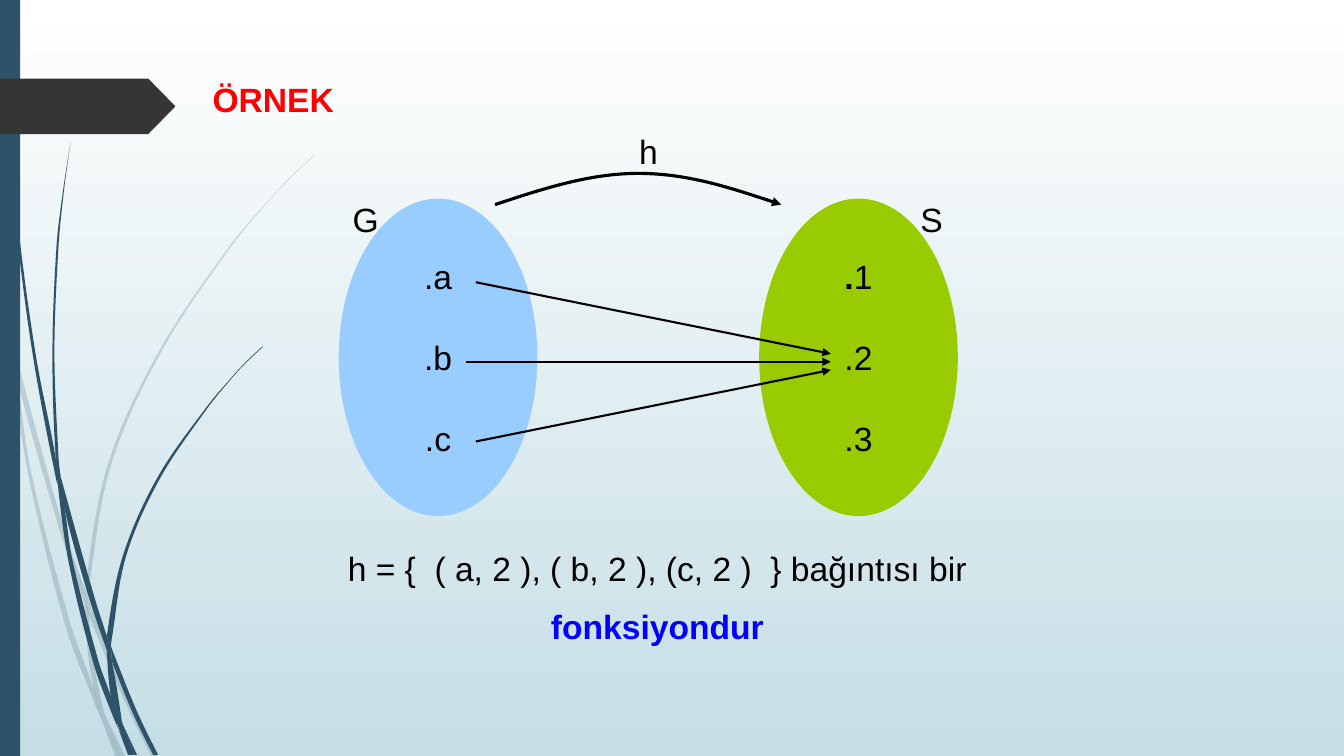
from math import dist
from pptx import Presentation
from pptx.dml.color import RGBColor
from pptx.enum.shapes import MSO_CONNECTOR as CONN, MSO_SHAPE as SHAPE
from pptx.enum.text import MSO_ANCHOR as ANCHOR, MSO_AUTO_SIZE as SIZE, PP_ALIGN as ALIGN
from pptx.oxml.ns import qn
from pptx.util import Inches, Pt
from lxml.etree import SubElement

W, H = 13.33, 7.5
NAVY, BLACK = "2E5369", "000000"

# Each blade piece has two edges: one out, one back
PALE_BLADES = [
    ([(.11, 3.5), (.09, 3.22), (0, 2.82)], [(0, 2.99), (.1, 3.44), (.11, 3.5)]),
    ([(.14, 3.45), (.17, 3.76), (.58, 5.22), (.84, 5.99)],
     [(.85, 5.86), (.62, 5.2), (.14, 3.45)]),
    ([(.88, 6.1), (1.23, 6.94), (1.5, 7.5)],
     [(1.55, 7.5), (1.27, 6.92), (.92, 6.07), (.88, 5.96)]),
    ([(1.05, 7.11), (1.19, 7.5)], [(1.24, 7.5), (1.05, 7.11)]),
    ([(.11, 3.5), (.28, 4.7), (.65, 6.21), (.92, 6.93), (1.01, 7.14)],
     [(.99, 7.07), (.93, 6.83), (.7, 6.19), (.31, 4.69), (.17, 3.76), (.11, 3.5)]),
    ([(.84, 5.99), (.87, 6.46), (.93, 6.83), (.96, 6.92), (1.05, 7.11)],
     [(1.03, 7.06), (.91, 6.46), (.88, 6.08), (.84, 5.99)]),
    ([(.88, 5.96), (.88, 5.84), (1.1, 4.62), (1.6, 3.49), (2.29, 2.45),
      (2.68, 1.98), (2.9, 1.75), (3.12, 1.54)],
     [(3.12, 1.53), (2.89, 1.75), (2.68, 1.97), (2.28, 2.44), (1.58, 3.48),
      (1.07, 4.61), (.85, 5.84)]),
    ([(1.01, 7.14), (1.14, 7.5)], [(1.19, 7.5), (1.01, 7.14)]),
    ([(.84, 5.99), (.88, 6.1)], [(.88, 5.96), (.85, 5.86)]),
    ([(.93, 6.83), (.99, 7.07), (1.01, 7.14), (1.19, 7.5)],
     [(1.05, 7.11), (.96, 6.92), (.93, 6.83)]),
]
DARK_BLADES = [
    ([(.03, 0), (.04, .48), (.07, 1.1), (.17, 2.33), (.33, 3.55), (.56, 4.77)],
     [(.57, 4.81), (.55, 4.53), (.36, 3.55), (.19, 2.32), (.08, 1.09), (.05, .48), (.04, 0)]),
    ([(.6, 4.72), (.64, 5.05), (.88, 5.92), (1.06, 6.45)],
     [(1.06, 6.31), (.93, 5.9), (.6, 4.72)]),
    ([(1.11, 6.56), (1.32, 7.08), (1.52, 7.49)],
     [(1.57, 7.49), (1.36, 7.06), (1.13, 6.49), (1.1, 6.41)]),
    ([(.57, 4.77), (.68, 5.57), (.93, 6.59), (1.11, 7.08), (1.17, 7.22)],
     [(1.16, 7.17), (1.1, 6.91), (.98, 6.57), (.72, 5.56), (.64, 5.05), (.57, 4.77)]),
    ([(.6, 4.72), (.58, 4.53), (.54, 3.49), (.58, 2.45), (.63, 1.93), (.7, 1.41)],
     [(.7, 1.41), (.62, 1.93), (.56, 2.45), (.52, 3.49), (.55, 4.49), (.6, 4.72)]),
    ([(1.22, 7.19), (1.33, 7.49)], [(1.36, 7.49), (1.22, 7.19)]),
    ([(.55, 4.49), (.57, 4.77), (.64, 5.05)], [(.6, 4.72), (.55, 4.49)]),
    ([(1.1, 6.41), (1.11, 6.33), (1.25, 5.52), (1.58, 4.76), (2.05, 4.06),
      (2.31, 3.74), (2.45, 3.59), (2.61, 3.44)],
     [(2.6, 3.44), (2.45, 3.58), (2.31, 3.73), (2.04, 4.05), (1.56, 4.74),
      (1.22, 5.51), (1.06, 6.31)]),
    ([(1.17, 7.22), (1.27, 7.49)], [(1.31, 7.49), (1.17, 7.22)]),
    ([(1.06, 6.45), (1.1, 6.91), (1.16, 7.06), (1.22, 7.19)],
     [(1.21, 7.16), (1.11, 6.56), (1.06, 6.45)]),
    ([(1.06, 6.31), (1.06, 6.45), (1.11, 6.56)], [(1.1, 6.41), (1.06, 6.31)]),
    ([(1.1, 6.91), (1.16, 7.17), (1.3, 7.49)],
     [(1.33, 7.49), (1.22, 7.19), (1.16, 7.06), (1.1, 6.91)]),
]


def color(value):
    return RGBColor.from_string(value)


def bend(pts):
    """Two control points for each segment of a smooth curve through pts."""
    def chord(i, j):
        return [(b - a) / (dist(pts[i], pts[j]) or 1) for a, b in zip(pts[i], pts[j])]

    last = len(pts) - 1
    slopes = [chord(max(i - 1, 0), min(i + 1, last)) for i in range(last + 1)]
    if last > 1:
        for i, a, b in ((0, 0, 1), (last, last - 1, last)):
            inner = slopes[1 if i == 0 else last - 1]
            slopes[i] = [1.5 * c - .5 * m for c, m in zip(chord(a, b), inner)]
    controls = []
    for p, q, m, n in zip(pts, pts[1:], slopes, slopes[1:]):
        d = dist(p, q) / 3
        controls.append([[a + d * b for a, b in zip(p, m)],
                         [a - d * b for a, b in zip(q, n)]])
    return controls


def add_outline(s, edges, close=True):
    """Freeform of smooth edges, joined by straight lines."""
    emu = [(Inches(x), Inches(y)) for edge in edges for x, y in edge]
    builder = s.shapes.build_freeform(*emu[0])
    builder.add_line_segments(emu[1:], close=close)
    sp = builder.convert_to_shape()
    sp.shadow.inherit = False
    lines = iter(list(sp._element.iter(qn("a:lnTo"))))
    for k, edge in enumerate(edges):
        if k:
            next(lines)
        for controls in bend(edge):
            line = next(lines)
            line.tag = qn("a:cubicBezTo")
            for i, (x, y) in enumerate(controls):
                pt = SubElement(line, qn("a:pt"), x=str(Inches(x) - sp.left),
                                y=str(Inches(y) - sp.top))
                line.insert(i, pt)
    return sp


def paint(sp, fill, alpha=None):
    sp.shadow.inherit = False
    sp.fill.solid()
    sp.fill.fore_color.rgb = color(fill)
    sp.line.fill.background()
    if alpha:
        clr = sp.fill._xPr.find(qn("a:solidFill"))[0]
        SubElement(clr, qn("a:alpha"), val=str(alpha * 1000))


def add_preset(s, kind, x, y, w, h, fill):
    sp = s.shapes.add_shape(kind, *map(Inches, (x, y, w, h)))
    paint(sp, fill)
    return sp


def style(p, fill=BLACK, bold=False):
    for r in p.runs:
        r.font.name, r.font.size, r.font.bold = "Arial", Pt(24), bold
        r.font.color.rgb = color(fill)


def add_text(s, text, x, y, w, h=.5, fill=BLACK, bold=False, wrap=False):
    tf = s.shapes.add_textbox(*map(Inches, (x, y, w, h))).text_frame
    tf.word_wrap, tf.auto_size = wrap, SIZE.SHAPE_TO_FIT_TEXT
    tf.text = text
    for p in tf.paragraphs:
        style(p, fill, bold)
    return tf


def arrow_line(shape, width):
    shape.line.color.rgb = color(BLACK)
    shape.line.width = Pt(width)
    SubElement(shape.line._get_or_add_ln(), qn("a:tailEnd"), type="triangle")


def backdrop(s):
    fill = s.background.fill
    fill.gradient()
    fill.gradient_angle = 270
    for stop, value in zip(fill.gradient_stops, ("FFFFFF", "C5DEE5")):
        stop.color.rgb = color(value)
    for blades, alpha in ((PALE_BLADES, 20), (DARK_BLADES, None)):
        for edges in blades:
            paint(add_outline(s, edges), NAVY, alpha)
    add_preset(s, SHAPE.RECTANGLE, 0, 0, .2, H, NAVY)


def heading(s, x, y, w, h):
    tag = add_preset(s, SHAPE.PENTAGON, x, y, w, h, "353535")
    tag.adjustments[0] = .49
    add_text(s, "ÖRNEK", x + w + .27, y - .05, 1.41, fill="FF0000", bold=True)


def add_set(s, items, x, y, w, h, fill):
    tf = add_preset(s, SHAPE.OVAL, x, y, w, h, fill).text_frame
    tf.word_wrap, tf.vertical_anchor = False, ANCHOR.MIDDLE
    tf.text = "\n".join(items)
    for i, p in enumerate(tf.paragraphs):
        p.alignment = ALIGN.CENTER
        p.space_before = Pt(29 if i else 0)
        style(p)
    return tf


def mapping(s, x, y, w, h):
    oval_w, oval_h = 1.97, 3.15
    top, right = y + h - oval_h, x + w - oval_w
    add_text(s, "G", x + .04, top - .05, .46)
    add_text(s, "S", right + 1.5, top - .05, .42)
    tf = add_set(s, (".1", ".2", ".3"), right, top, oval_w, oval_h, "99CC00")
    p = tf.paragraphs[0]
    p.runs[0].text = "."
    p.add_run().text = "1"
    style(p)
    p.runs[0].font.bold = True
    add_text(s, "h", x + 2.88, y, .39)
    add_set(s, (".a", ".b", ".c"), x, top, oval_w, oval_h, "99CCFF")

    # Arrows from a, b and c to 2
    mid, end = y + 2.34, x + 4.88
    for start, row in ((1.36, 1), (1.36, -1), (1.26, 0)):
        ends = (x + start, mid + row * .79, end, mid + row * .08)
        line = s.shapes.add_connector(CONN.STRAIGHT, *map(Inches, ends))
        SubElement(line._element.spPr, qn("a:effectLst"))
        arrow_line(line, 1.5)

    # Arc from G to S
    arc = [(x + dx, y + dy) for dx, dy in ((1.55, .78), (2.97, .47), (4.39, .78))]
    sp = add_outline(s, [arc], close=False)
    sp.fill.background()
    arrow_line(sp, 2.25)


def conclusion(s, x, y, w, h):
    tf = add_text(s, "h = {  ( a, 2 ), ( b, 2 ), (c, 2 )  } bağıntısı bir\nfonksiyondur",
                  x, y, w, h, wrap=True)
    for p in tf.paragraphs:
        p.alignment = ALIGN.CENTER
    p.space_before = Pt(12)
    style(p, "0000FF", True)


def main():
    prs = Presentation()
    prs.slide_width, prs.slide_height = Inches(W), Inches(H)
    s = prs.slides.add_slide(prs.slide_layouts[6])
    backdrop(s)
    heading(s, 0, .78, 1.74, .55)
    mapping(s, 3.36, 1.25, 6.14, 3.87)
    conclusion(s, 1.99, 5.39, 9.06, 1.11)
    prs.save("out.pptx")


if __name__ == "__main__":
    main()
